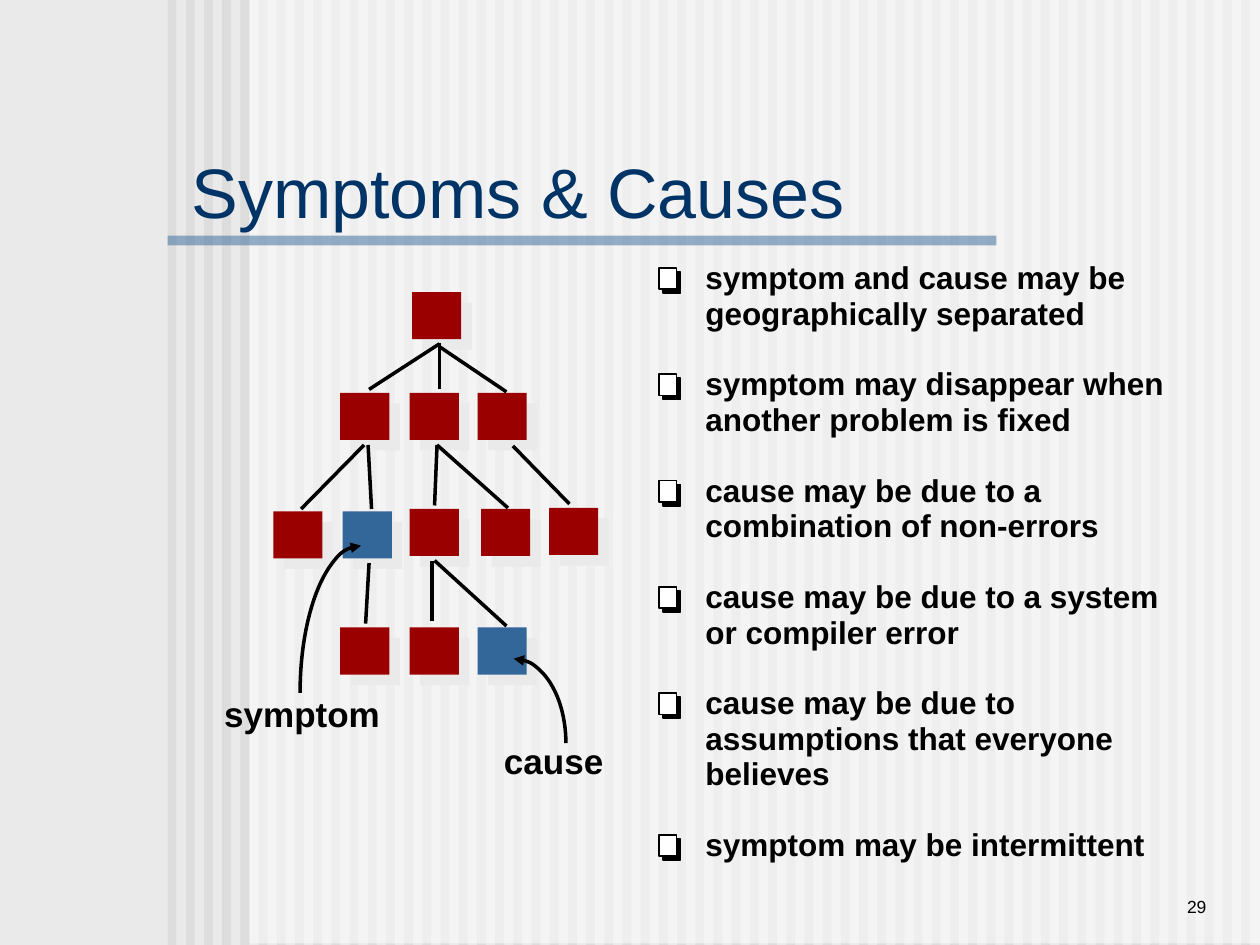
from dataclasses import dataclass
from typing import Any, Optional

import pptx
import pptx.dml.color
import pptx.enum.shapes
import pptx.enum.text
import pptx.oxml.ns
import pptx.util
from lxml import etree

Cm = pptx.util.Cm
Pt = pptx.util.Pt
RGBColor = pptx.dml.color.RGBColor
SHAPE = pptx.enum.shapes.MSO_SHAPE
ANCHOR = pptx.enum.text.MSO_ANCHOR
ALIGN = pptx.enum.text.PP_ALIGN
qn = pptx.oxml.ns.qn

BLACK = RGBColor(0x00, 0x00, 0x00)
WHITE = RGBColor(0xFF, 0xFF, 0xFF)
PALE = RGBColor(0xEA, 0xEA, 0xEA)
STRIPE = RGBColor(0xDD, 0xDD, 0xDD)
NAVY = RGBColor(0x00, 0x33, 0x66)
BLUE = RGBColor(0x33, 0x66, 0x99)
RED = RGBColor(0x9A, 0x00, 0x00)

TITLE = {"size": Pt(40), "bold": False, "color": NAVY}
LABEL = {"size": Pt(20), "bold": True, "color": BLACK}
BODY = {"size": Pt(18), "bold": True, "color": BLACK}
NUMBER = {"size": Pt(10), "bold": False, "color": BLACK}


@dataclass
class Box:
    """Left, top, width and height in centimetres."""
    x: float
    y: float
    w: float
    h: float

    def lengths(self) -> tuple:
        return Cm(self.x), Cm(self.y), Cm(self.w), Cm(self.h)


@dataclass
class Node:
    x: float
    y: float
    color: RGBColor = RED


@dataclass
class Edge:
    x1: float
    y1: float
    x2: float
    y2: float


@dataclass
class Arc:
    """Quarter ellipse from start to end (degrees), arrowed at one end."""
    box: Box
    start: int
    end: int
    arrow: str


NODES = [
    Node(8.31, 5.89),
    Node(6.86, 7.92), Node(8.26, 7.92), Node(9.63, 7.92),
    Node(5.51, 10.31), Node(6.91, 10.31, BLUE), Node(8.26, 10.26),
    Node(9.7, 10.26), Node(11.07, 10.24),
    Node(6.86, 12.65), Node(8.26, 12.65), Node(9.63, 12.65, BLUE),
]
EDGES = [
    Edge(8.86, 6.93, 7.44, 7.85), Edge(8.86, 6.91, 8.86, 7.85),
    Edge(8.86, 6.99, 10.21, 7.9),
    Edge(7.34, 8.97, 6.07, 10.26), Edge(7.42, 8.97, 7.49, 10.26),
    Edge(8.81, 8.97, 8.76, 10.19), Edge(8.81, 8.97, 10.24, 10.24),
    Edge(10.34, 8.99, 11.48, 10.16),
    Edge(7.44, 11.35, 7.37, 12.57), Edge(8.71, 11.3, 8.71, 12.52),
    Edge(8.76, 11.3, 10.21, 12.62),
]
ARCS = [
    Arc(Box(6.05, 11, 2.46, 5.94), 180, 270, "a:tailEnd"),
    Arc(Box(9.3, 13.28, 2.11, 3.4), 270, 0, "a:headEnd"),
]
BULLETS = [
    ["symptom and cause may be", "geographically separated"],
    ["symptom may disappear when", "another problem is fixed"],
    ["cause may be due to a", "combination of non-errors"],
    ["cause may be due to a system", "or compiler error"],
    ["cause may be due to", "assumptions that everyone", "believes"],
    ["symptom may be intermittent"],
]
STRIPES = 60
LINE_PITCH = 11.43 / 16


def add_rect(s: Any, box: Box, color: RGBColor, opacity: int = 100,
             outline: Optional[RGBColor] = None) -> Any:
    sp = s.shapes.add_shape(SHAPE.RECTANGLE, *box.lengths())
    sp.shadow.inherit = False
    sp.fill.solid()
    sp.fill.fore_color.rgb = color
    if opacity < 100:
        clr = sp._element.spPr.find(qn("a:solidFill"))[0]
        etree.SubElement(clr, qn("a:alpha"), val=str(opacity * 1000))
    if outline is None:
        sp.line.fill.background()
    else:
        sp.line.color.rgb = outline
        sp.line.width = Pt(1)
    return sp


def add_text(s: Any, box: Box, text: str, style: dict, wrap: bool = True,
             anchor: Any = ANCHOR.TOP, align: Any = ALIGN.LEFT) -> None:
    tf = s.shapes.add_textbox(*box.lengths()).text_frame
    tf.word_wrap = wrap
    tf.vertical_anchor = anchor
    p = tf.paragraphs[0]
    p.alignment = align
    r = p.add_run()
    r.text = text
    r.font.name = "Arial"
    for name, value in style.items():
        if name == "color":
            r.font.color.rgb = value
        else:
            setattr(r.font, name, value)


def add_node(s: Any, node: Node) -> None:
    sp = add_rect(s, Box(node.x, node.y, 0.99, 0.95), node.color)
    effects = sp._element.spPr.find(qn("a:effectLst"))
    shadow = etree.SubElement(effects, qn("a:outerShdw"), dist=str(Pt(8.5)),
                              dir=str(45 * 60000), algn="ctr", rotWithShape="0")
    etree.SubElement(shadow, qn("a:srgbClr"), val=str(PALE))


def add_edge(s: Any, edge: Edge) -> None:
    ends = (Cm(v) for v in (edge.x1, edge.y1, edge.x2, edge.y2))
    sp = s.shapes.add_connector(pptx.enum.shapes.MSO_CONNECTOR.STRAIGHT, *ends)
    sp.line.color.rgb = BLACK
    sp.line.width = Pt(2)
    etree.SubElement(sp._element.spPr, qn("a:effectLst"))


def add_arc(s: Any, arc: Arc) -> None:
    sp = s.shapes.add_shape(SHAPE.ARC, *arc.box.lengths())
    sp.shadow.inherit = False
    for i, degrees in enumerate((arc.start, arc.end)):
        sp.adjustments[i] = degrees * 0.6
    sp.fill.background()
    sp.line.color.rgb = BLACK
    sp.line.width = Pt(2)
    etree.SubElement(sp.line._get_or_add_ln(), qn(arc.arrow), type="triangle")


def add_backdrop(s: Any) -> None:
    s.background.fill.solid()
    s.background.fill.fore_color.rgb = PALE
    for i in range(STRIPES):
        x = 3.38 + i * 21.64 / (STRIPES - 1)
        add_rect(s, Box(x, 0, 0.18, 19.05), STRIPE)
    add_rect(s, Box(5.03, -0.03, 20.37, 19.05), WHITE, 50)
    add_rect(s, Box(3.38, 4.75, 16.71, 0.2), BLUE, 50)


def add_bullets(s: Any) -> None:
    """Draw each bullet's box marker and lines, one free line between bullets."""
    y = 5.08
    for lines in BULLETS:
        for shift, color in ((0.08, BLACK), (0, WHITE)):
            marker = Box(13.28 + shift, y + 0.32 + shift, 0.36, 0.43)
            add_rect(s, marker, color, outline=BLACK)
        for line in lines:
            add_text(s, Box(13.97, y, 10.03, 1.02), line, BODY)
            y += LINE_PITCH
        y += LINE_PITCH


def main() -> None:
    prs = pptx.Presentation()
    prs.slide_width, prs.slide_height = Cm(25.4), Cm(19.05)
    s = prs.slides.add_slide(prs.slide_layouts[6])
    add_backdrop(s)
    add_text(s, Box(3.61, 3.18, 16.15, 1.32), "Symptoms & Causes", TITLE,
             anchor=ANCHOR.MIDDLE)
    for node in NODES:
        add_node(s, node)
    add_text(s, Box(4.27, 13.84, 3.66, 1.09), "symptom", LABEL, wrap=False)
    add_text(s, Box(9.91, 14.78, 2.51, 1.09), "cause", LABEL, wrap=False)
    add_bullets(s)
    for edge in EDGES:
        add_edge(s, edge)
    for arc in ARCS:
        add_arc(s, arc)
    add_text(s, Box(20.96, 17.35, 3.61, 1.27), "29", NUMBER,
             anchor=ANCHOR.BOTTOM, align=ALIGN.RIGHT)
    prs.save("out.pptx")


if __name__ == "__main__":
    main()
